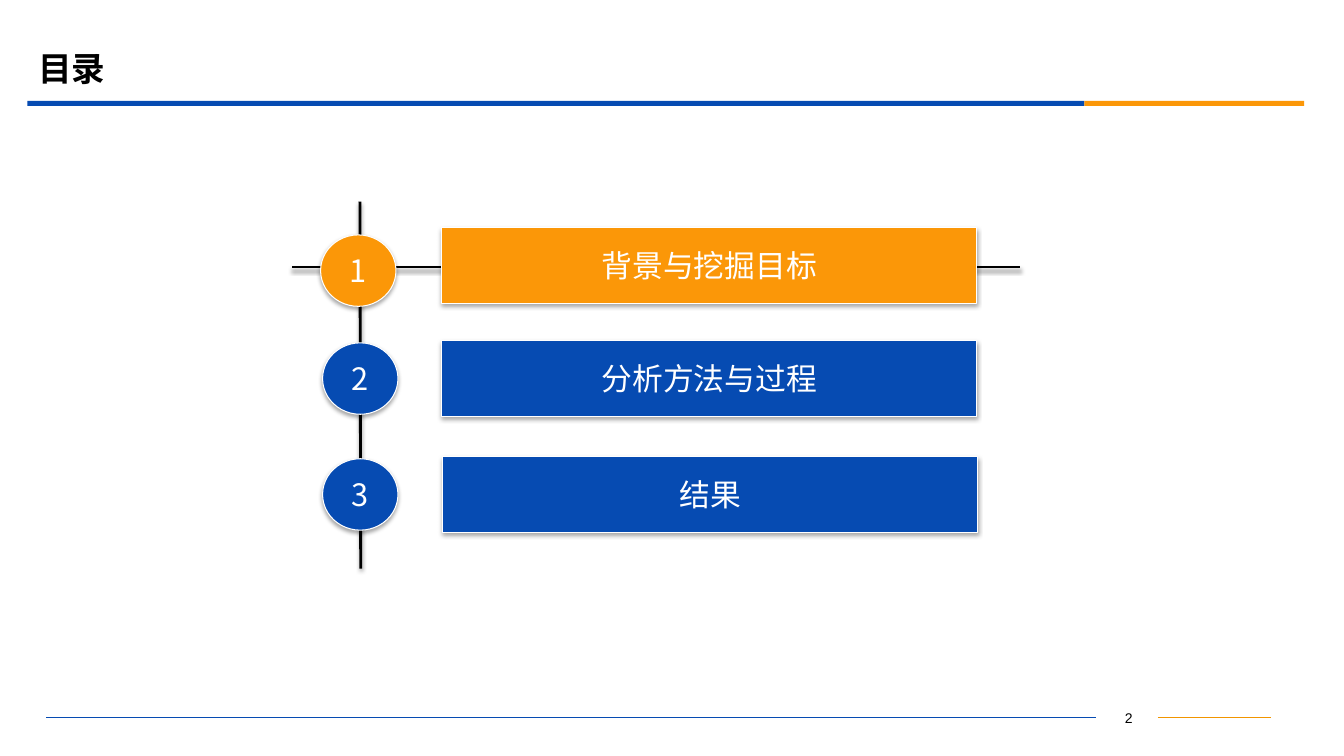
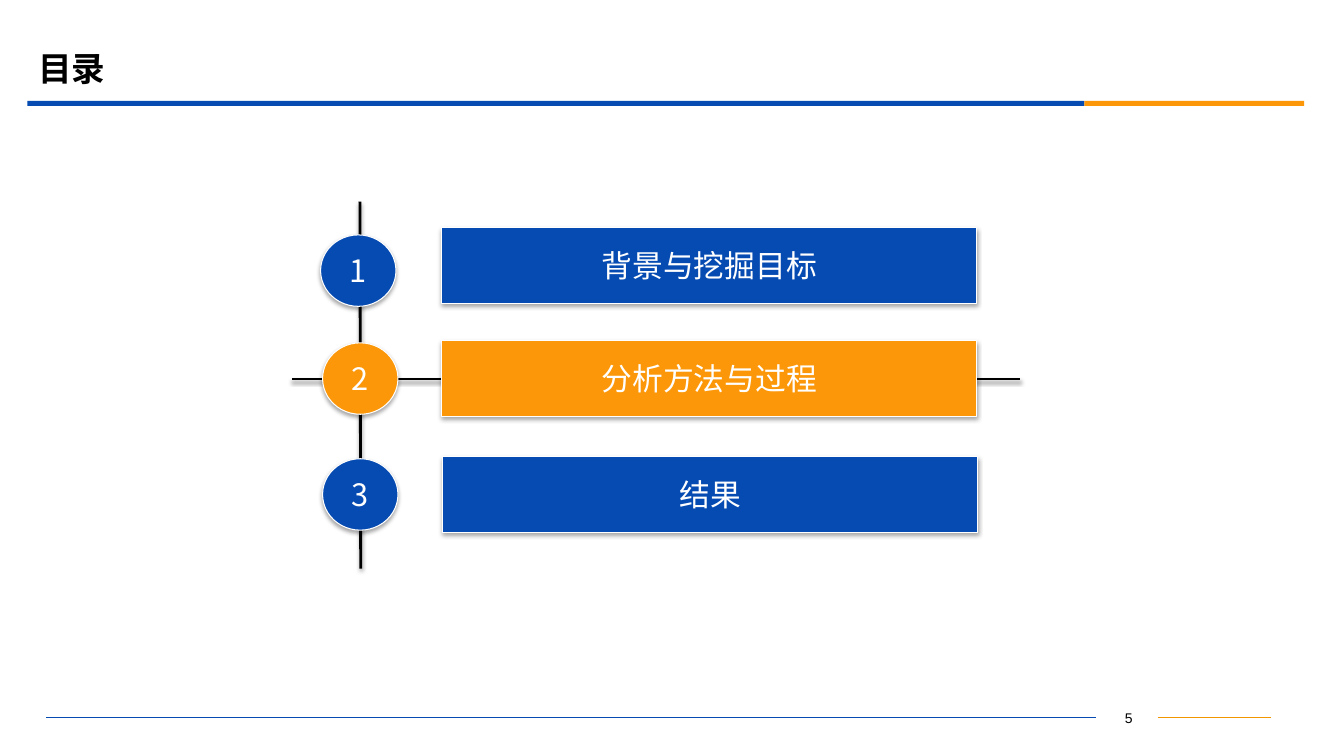
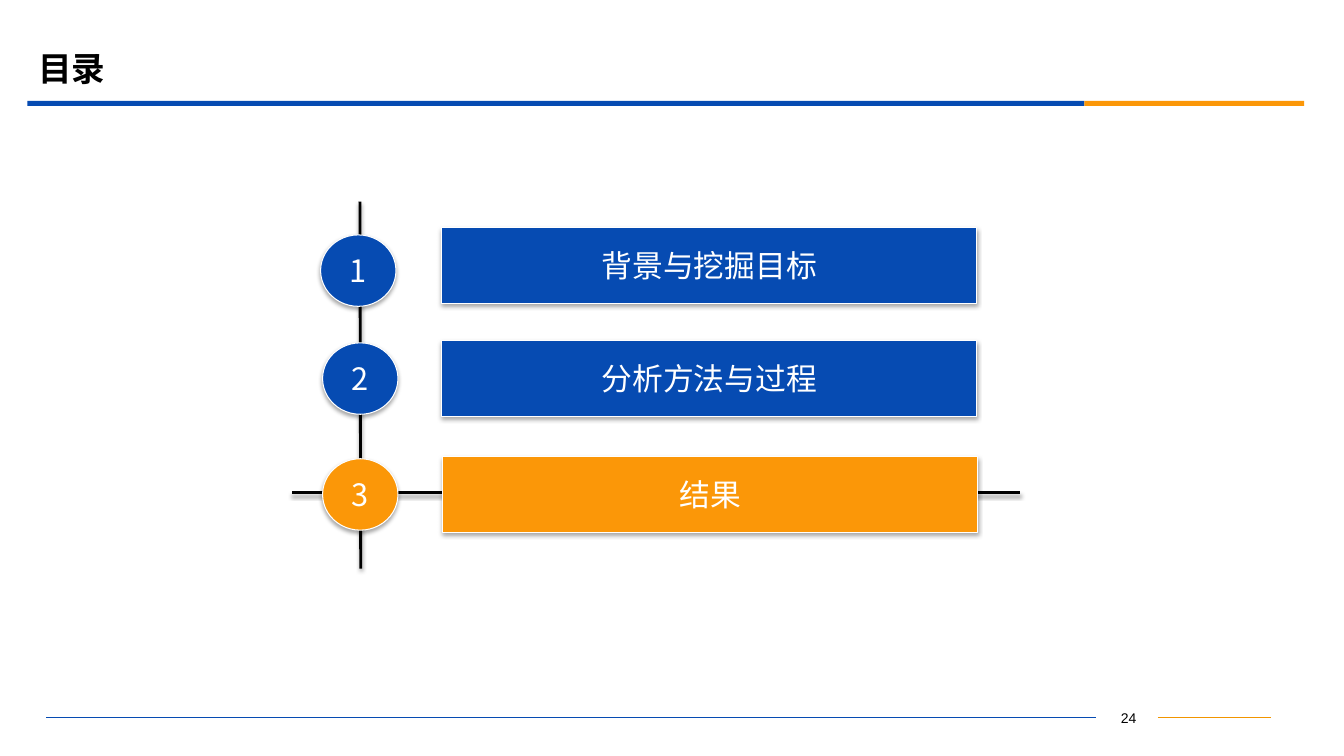
from lxml.etree import SubElement
from pptx import Presentation
from pptx.dml.color import RGBColor
from pptx.enum.shapes import MSO_CONNECTOR, MSO_SHAPE
from pptx.enum.text import MSO_ANCHOR, MSO_AUTO_SIZE, PP_ALIGN
from pptx.oxml.ns import qn
from pptx.util import Cm, Pt

BLUE = RGBColor(0x06, 0x4B, 0xB2)
ORANGE = RGBColor(0xFB, 0x97, 0x08)
AMBER = RGBColor(0xF1, 0x95, 0x00)
BLACK = RGBColor(0, 0, 0)
GREY = RGBColor(0x7F, 0x7F, 0x7F)
WHITE = RGBColor(0xFF, 0xFF, 0xFF)
CJK = "Noto Sans CJK SC"
LATIN = "Arial"
TITLE_ONLY = 5

# Chapter name, circle (x, y), bar (x, y) and height of the crossing line, in cm
CHAPTERS = [
    ("背景与挖掘目标", (8.08, 5.92), (11.13, 5.74), 6.73),
    ("分析方法与过程", (8.13, 8.64), (11.13, 8.59), 9.55),
    ("结果", (8.13, 11.56), (11.15, 11.51), 12.42),
]
# Page number and index of the highlighted chapter
AGENDAS = [(2, 0), (5, 1), (24, 2)]


def add_run(p, text, size, color, font=CJK, bold=False):
    """Add one formatted run, with the font set for both scripts."""
    r = p.add_run()
    r.text = text
    r.font.size = Pt(size)
    r.font.bold = bold
    r.font.color.rgb = color
    r.font.name = font
    SubElement(r._r.get_or_add_rPr(), qn("a:ea"), typeface=font)


def add_effects(sp, opacity=0, distance=0):
    """Give a shape or line a soft shadow below it, or none at all."""
    effects = SubElement(sp.element.spPr, qn("a:effectLst"))
    if opacity:
        shadow = SubElement(effects, qn("a:outerShdw"), blurRad=str(Pt(3.1)),
                            dist=str(Pt(distance)), dir="5400000",
                            rotWithShape="0")
        color = SubElement(shadow, qn("a:srgbClr"), val="000000")
        SubElement(color, qn("a:alpha"), val=str(opacity * 1000))


def add_line(s, start, end, color, width, **effects):
    """Draw a straight line between two points in cm."""
    line = s.shapes.add_connector(MSO_CONNECTOR.STRAIGHT,
                                  *map(Cm, start + end))
    line.line.color.rgb = color
    line.line.width = Pt(width)
    add_effects(line, **effects)


def add_band(s, x, width, color):
    """Add one part of the band under the title."""
    sp = s.shapes.add_shape(MSO_SHAPE.RECTANGLE, Cm(x), Cm(2.54),
                            Cm(width), Cm(0.13))
    sp.shadow.inherit = False
    sp.fill.solid()
    sp.fill.fore_color.rgb = color
    sp.line.fill.background()


def add_label(s, kind, position, size, text, color):
    """Add a filled, shadowed shape with centred white text."""
    sp = s.shapes.add_shape(kind, *map(Cm, position + size))
    sp.fill.solid()
    sp.fill.fore_color.rgb = color
    sp.line.color.rgb = WHITE
    sp.line.width = Pt(0.75)
    add_effects(sp, opacity=35, distance=1.8)
    tf = sp.text_frame
    tf.word_wrap = False
    tf.vertical_anchor = MSO_ANCHOR.MIDDLE
    p = tf.paragraphs[0]
    p.alignment = PP_ALIGN.CENTER
    add_run(p, text, 22, WHITE)


def set_title(s, text):
    """Place and format the title placeholder."""
    title = s.shapes.title
    title.left, title.top = Cm(0.71), Cm(0.99)
    title.width, title.height = Cm(30.48), Cm(1.47)
    tf = title.text_frame
    tf.auto_size = MSO_AUTO_SIZE.NONE
    tf.vertical_anchor = MSO_ANCHOR.MIDDLE
    p = tf.paragraphs[0]
    p.alignment = PP_ALIGN.LEFT
    add_run(p, text, 24, BLACK, bold=True)


def add_footer(s, page):
    """Add the page number between its two lines."""
    tf = s.shapes.add_textbox(Cm(27.61), Cm(17.75), Cm(1.57),
                              Cm(0.64)).text_frame
    tf.word_wrap = True
    p = tf.paragraphs[0]
    p.alignment = PP_ALIGN.CENTER
    add_run(p, " ", 10, GREY, LATIN)
    add_run(p, str(page), 10, BLACK, LATIN)
    add_line(s, (29.18, 18.08), (32.03, 18.08), AMBER, 0.75)
    add_line(s, (1.17, 18.08), (27.61, 18.08), BLUE, 0.75)


def add_agenda(s, active):
    """Draw the chapter list with the active chapter highlighted."""
    cross_y = CHAPTERS[active][3]
    for start, end in [((9.07, 5.08), (9.09, 14.33)),
                       ((7.37, cross_y), (25.7, cross_y))]:
        add_line(s, start, end, BLACK, 2, opacity=38, distance=1.6)
    for i, (name, circle, bar, _) in enumerate(CHAPTERS):
        color = ORANGE if i == active else BLUE
        add_label(s, MSO_SHAPE.OVAL, circle, (1.9, 1.8), str(i + 1), color)
        add_label(s, MSO_SHAPE.ACTION_BUTTON_CUSTOM, bar, (13.49, 1.9),
                  name, color)


def main():
    """Build the agenda slides and save them."""
    prs = Presentation()
    prs.slide_width, prs.slide_height = Cm(33.87), Cm(19.05)
    for page, active in AGENDAS:
        s = prs.slides.add_slide(prs.slide_layouts[TITLE_ONLY])
        set_title(s, "目录")
        add_footer(s, page)
        add_band(s, 0.69, 26.64, BLUE)
        add_band(s, 27.33, 5.54, ORANGE)
        add_agenda(s, active)
    prs.save("out.pptx")


main()
